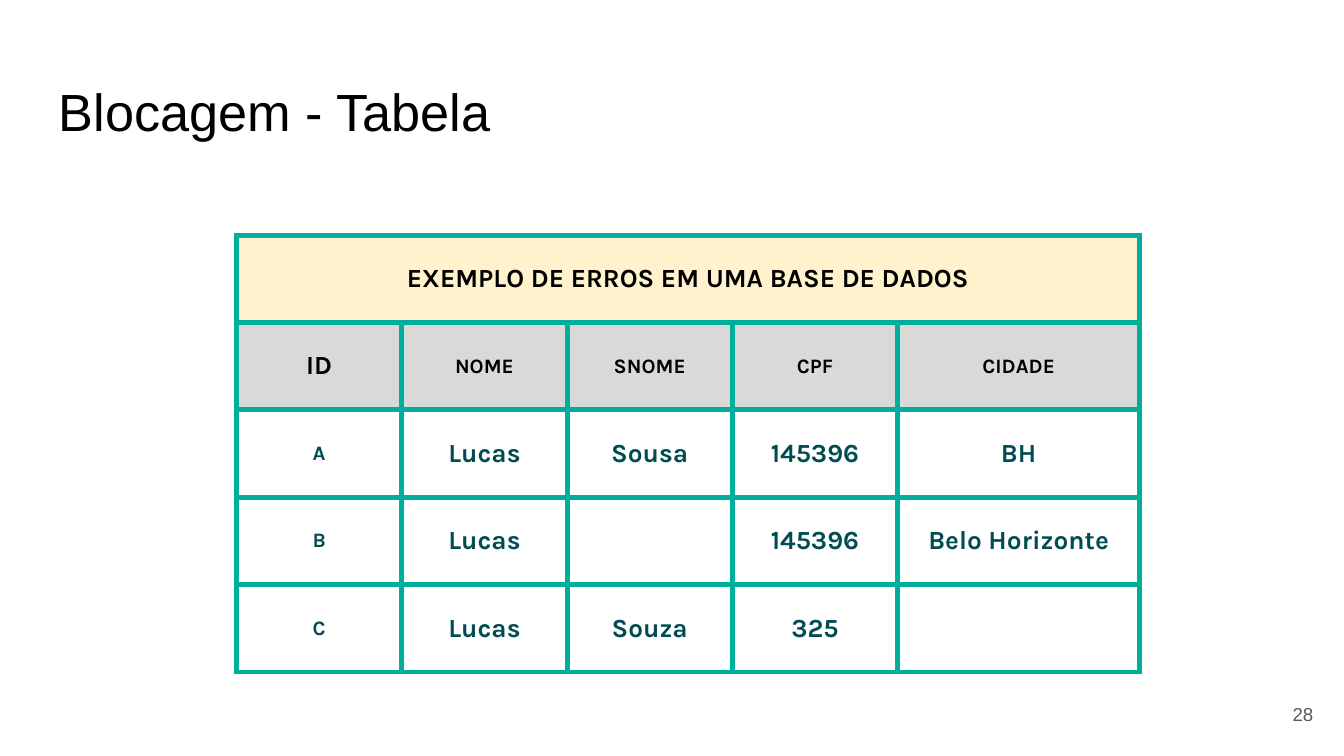
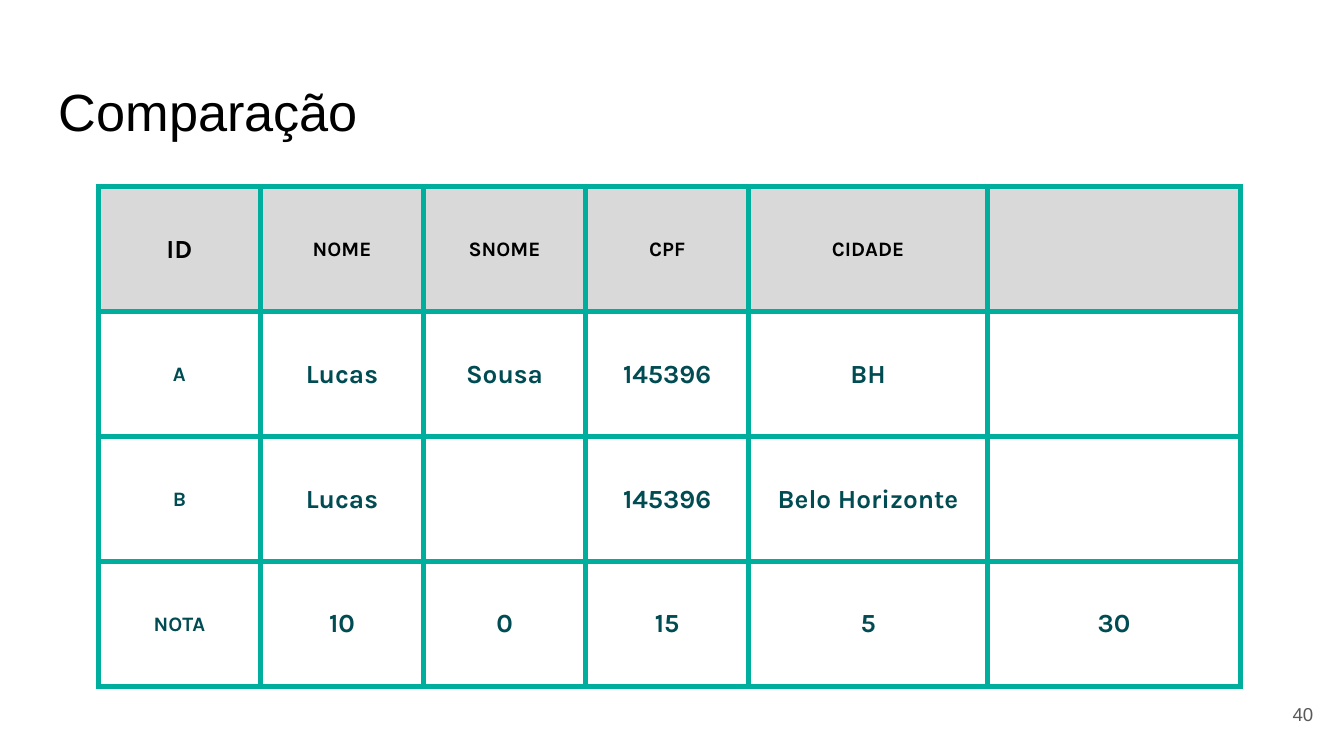
import pptx
import pptx.util
import pptx.dml.color
import pptx.enum.text
import pptx.oxml
import pptx.oxml.ns
from pptx.util import Inches

RGBColor = pptx.dml.color.RGBColor
ALIGN = pptx.enum.text.PP_ALIGN
ANCHOR = pptx.enum.text.MSO_ANCHOR

BLACK = RGBColor(0x00, 0x00, 0x00)
WHITE = RGBColor(0xFF, 0xFF, 0xFF)
GRAY = RGBColor(0x59, 0x59, 0x59)
SILVER = RGBColor(0xD9, 0xD9, 0xD9)
CREAM = RGBColor(0xFF, 0xF2, 0xCC)
TEAL = RGBColor(0x00, 0xAE, 0x9D)
DEEP = RGBColor(0x00, 0x4C, 0x52)

WIDTH = Inches(10)
HEIGHT = WIDTH * 9 // 16
TITLE_BOX = (0.34, 0.49, 9.32, 0.63)
PAGE_BOX = (9.27, 5.1, 0.6, 0.43)
TITLE = {"name": "Arial", "size": pptx.util.Pt(28)}
PAGE = {"name": "Arial", "size": pptx.util.Pt(10)}
LARGE = {"name": "Karla", "size": pptx.util.Pt(14), "bold": True}
SMALL = {**LARGE, "size": pptx.util.Pt(11)}

HEAD = ["ID", "NOME", "SNOME", "CPF", "CIDADE"]
FIRST = ["A", "Lucas", "Sousa", "145396", "BH"]
SECOND = ["B", "Lucas", "", "145396", "Belo Horizonte"]
THIRD = ["C", "Lucas", "Souza", "325", ""]
SCORE = ["NOTA", "10", "0", "15", "5", "30"]


def apply(target, form):
    for key, value in form.items():
        setattr(target, key, value)


def write(frame, text, form, color, align):
    para = frame.paragraphs[0]
    para.alignment = align
    run = para.add_run()
    run.text = text
    apply(run.font, form)
    run.font.color.rgb = color


def add_text(slide, box, text, form, color, align, anchor):
    frame = slide.shapes.add_textbox(*map(Inches, box)).text_frame
    pad = Inches(0.1)
    apply(frame, {"word_wrap": True, "vertical_anchor": anchor,
                  "margin_left": pad, "margin_right": pad,
                  "margin_top": pad, "margin_bottom": pad})
    write(frame, text, form, color, align)


def add_title(slide, text):
    add_text(slide, TITLE_BOX, text, TITLE, BLACK, ALIGN.LEFT, ANCHOR.TOP)


def add_page(slide, number):
    add_text(slide, PAGE_BOX, str(number), PAGE, GRAY, ALIGN.RIGHT, ANCHOR.MIDDLE)


def add_edges(cell):
    props = cell._tc.get_or_add_tcPr()
    space = pptx.oxml.ns.nsdecls("a")
    for side in "LRTB":
        props.append(pptx.oxml.parse_xml(
            f'<a:ln{side} {space} w="{pptx.util.Pt(3)}"><a:solidFill>'
            f'<a:srgbClr val="{TEAL}"/></a:solidFill></a:ln{side}>'))


def fill_cell(cell, text, form, color, fill):
    add_edges(cell)
    apply(cell, {"vertical_anchor": ANCHOR.MIDDLE,
                 "margin_left": Inches(0.1), "margin_right": Inches(0.1),
                 "margin_top": Inches(0.07), "margin_bottom": Inches(0.07)})
    if fill is None:
        cell.fill.background()
    else:
        cell.fill.solid()
        cell.fill.fore_color.rgb = fill
    if text:
        write(cell.text_frame, text, form, color, ALIGN.CENTER)


def add_grid(slide, left, top, widths, height, rows, banner=None):
    lead = 1 if banner else 0
    count = len(rows) + lead
    frame = slide.shapes.add_table(
        count, len(widths), Inches(left), Inches(top),
        Inches(sum(widths)), Inches(height * count))
    table = frame.table
    apply(table, {"first_row": False, "horz_banding": False})
    for column, width in zip(table.columns, widths):
        column.width = Inches(width)
    for row in table.rows:
        row.height = Inches(height)
    if banner:
        table.cell(0, 0).merge(table.cell(0, len(widths) - 1))
        for col in range(len(widths)):
            text = "" if col else banner
            fill_cell(table.cell(0, col), text, LARGE, BLACK, CREAM)
    for line, values in enumerate(rows):
        head = line == 0
        color, fill = (BLACK, SILVER) if head else (DEEP, None)
        for col in range(len(widths)):
            text = values[col] if col < len(values) else ""
            form = LARGE if head == (col == 0) else SMALL
            fill_cell(table.cell(line + lead, col), text, form, color, fill)


def add_slide(deck, title, number):
    slide = deck.slides.add_slide(deck.slide_layouts[6])
    slide.background.fill.solid()
    slide.background.fill.fore_color.rgb = WHITE
    add_title(slide, title)
    add_page(slide, number)
    return slide


def main():
    deck = pptx.Presentation()
    apply(deck, {"slide_width": WIDTH, "slide_height": HEIGHT})
    block = add_slide(deck, "Blocagem - Tabela", 28)
    add_grid(block, 1.76, 1.75, [1.23] * 4 + [1.8], 0.65,
             [HEAD, FIRST, SECOND, THIRD],
             "EXEMPLO DE ERROS EM UMA BASE DE DADOS")
    match = add_slide(deck, "Comparação", 40)
    add_grid(match, 0.73, 1.39, [1.21] * 4 + [1.78, 1.88], 0.93,
             [HEAD, FIRST, SECOND, SCORE])
    deck.save("out.pptx")


if __name__ == "__main__":
    main()
